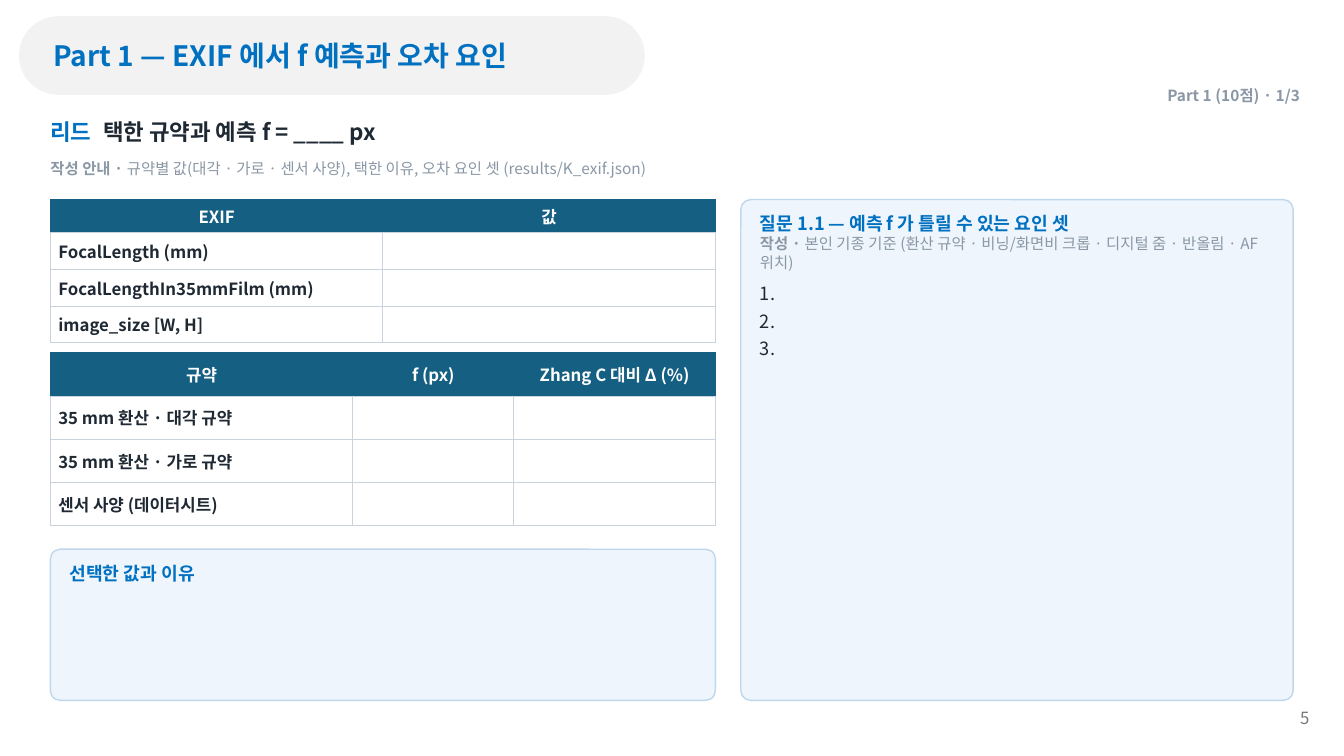
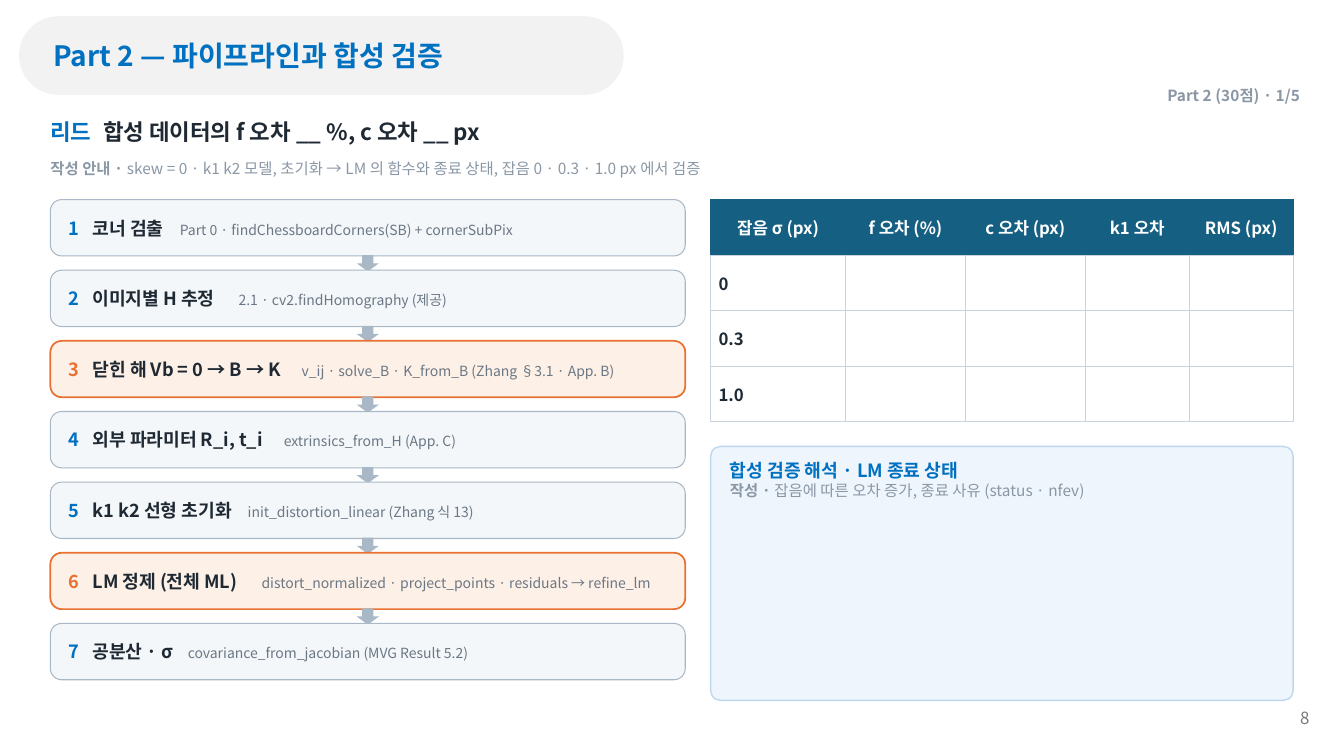
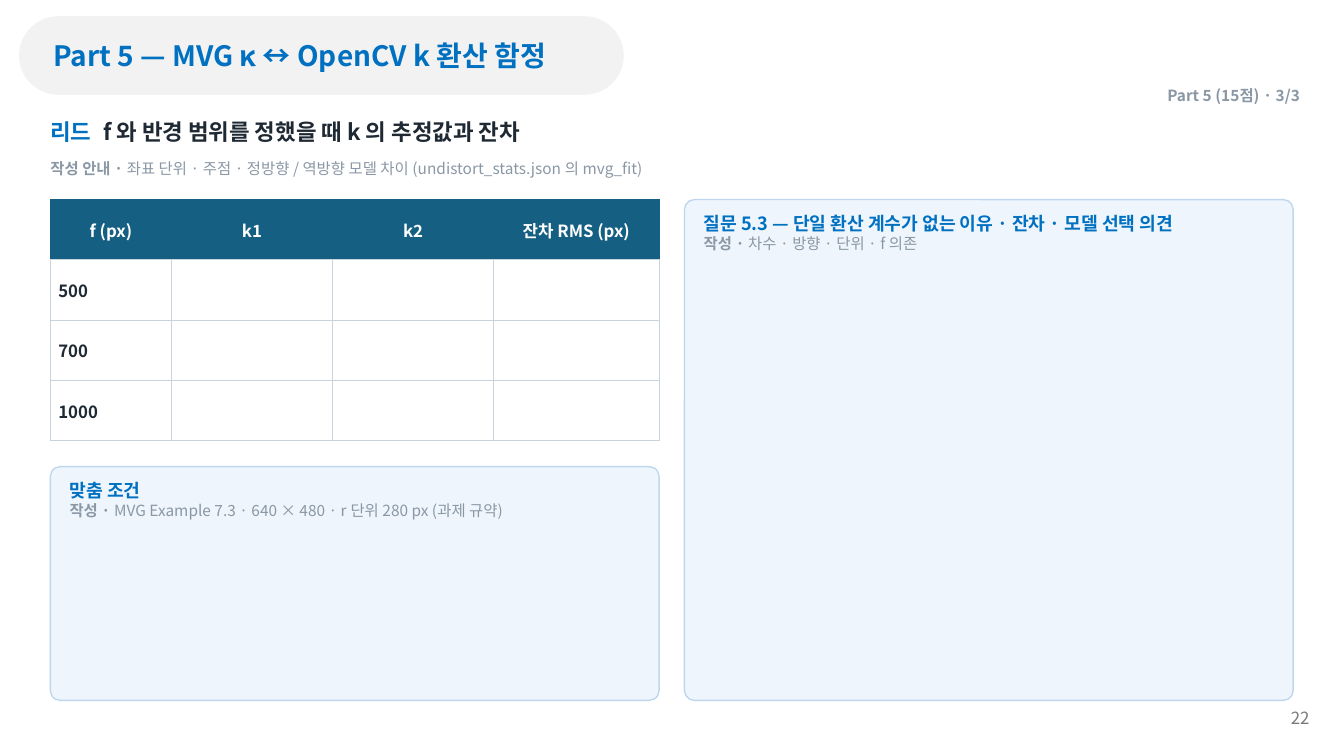
"""Build three worksheet slides of a camera calibration report."""
from lxml import etree
from pptx import Presentation
from pptx.dml.color import RGBColor
from pptx.enum.shapes import MSO_SHAPE
from pptx.enum.text import MSO_ANCHOR, PP_ALIGN
from pptx.oxml.ns import qn
from pptx.util import Cm, Pt

ROUND, DOWN = MSO_SHAPE.ROUNDED_RECTANGLE, MSO_SHAPE.DOWN_ARROW
TOP, MIDDLE = MSO_ANCHOR.TOP, MSO_ANCHOR.MIDDLE
LEFT, CENTER, RIGHT = PP_ALIGN.LEFT, PP_ALIGN.CENTER, PP_ALIGN.RIGHT

FONT = "Noto Sans CJK KR"
BLUE = RGBColor(0x00, 0x70, 0xC0)
INK = RGBColor(0x1F, 0x29, 0x33)
MUTED = RGBColor(0x8A, 0x97, 0xA5)
DETAIL = RGBColor(0x6B, 0x77, 0x85)
PAGE_GRAY = RGBColor(0x79, 0x79, 0x79)
PILL = RGBColor(0xF2, 0xF2, 0xF2)
WHITE = RGBColor(0xFF, 0xFF, 0xFF)
HEADER = RGBColor(0x15, 0x60, 0x82)
GRID = RGBColor(0xC9, 0xD3, 0xDD)
CARD_FILL = RGBColor(0xEE, 0xF5, 0xFC)
CARD_LINE = RGBColor(0xBF, 0xD7, 0xEE)
STEP_FILL = RGBColor(0xF4, 0xF7, 0xFA)
STEP_LINE = RGBColor(0xA9, 0xB8, 0xC6)
KEY_FILL = RGBColor(0xFD, 0xF0, 0xE6)
KEY_LINE = RGBColor(0xE9, 0x71, 0x32)

MARGIN, BODY_TOP, BODY_RIGHT, BODY_BOTTOM, GAP = 1.27, 5.03, 32.59, 17.65, 0.64
CARD_RADIUS = 0.25
STEP_HEIGHT, STEP_PITCH = 1.42, 1.78
ARROW_WIDTH, ARROW_HEIGHT = 0.56, 0.41

EXIF = {
    "title": "Part 1 — EXIF 에서 f 예측과 오차 요인", "pill": 15.77,
    "tag": "Part 1 (10점) · 1/3", "page": "5", "left": 16.76,
    "lead": "택한 규약과 예측 f = ____ px",
    "guide": "규약별 값(대각 · 가로 · 센서 사양), 택한 이유, 오차 요인 셋 (results/K_exif.json)",
    "tables": [
        {"side": 0, "top": BODY_TOP, "cols": [8.38, 8.38], "rows": (0.84, 0.92),
         "head": ["EXIF", "값"],
         "labels": ["FocalLength (mm)", "FocalLengthIn35mmFilm (mm)", "image_size [W, H]"]},
        {"side": 0, "top": 8.89, "cols": [7.62, 4.06, 5.08], "rows": (1.09, 1.09),
         "head": ["규약", "f (px)", "Zhang C 대비 Δ (%)"],
         "labels": ["35 mm 환산 · 대각 규약", "35 mm 환산 · 가로 규약", "센서 사양 (데이터시트)"]},
    ],
    "cards": [
        {"side": 0, "top": 13.84, "title": "선택한 값과 이유"},
        {"side": 1, "top": BODY_TOP, "title": "질문 1.1 — 예측 f 가 틀릴 수 있는 요인 셋",
         "hint": "본인 기종 기준 (환산 규약 · 비닝/화면비 크롭 · 디지털 줌 · 반올림 · AF 위치)",
         "items": ["1.", "2.", "3."]},
    ],
}

PIPELINE = {
    "title": "Part 2 — 파이프라인과 합성 검증", "pill": 15.24,
    "tag": "Part 2 (30점) · 1/5", "page": "8", "left": 16.0,
    "lead": "합성 데이터의 f 오차 __ %, c 오차 __ px",
    "guide": "skew = 0 · k1 k2 모델, 초기화 → LM 의 함수와 종료 상태, "
             "잡음 0 · 0.3 · 1.0 px 에서 검증",
    "steps": [
        ("코너 검출", "Part 0 · findChessboardCorners(SB) + cornerSubPix", 2.8, False),
        ("이미지별 H 추정", "2.1 · cv2.findHomography (제공)", 4.28, False),
        ("닫힌 해 Vb = 0 → B → K", "v_ij · solve_B · K_from_B (Zhang §3.1 · App. B)", 5.87, True),
        ("외부 파라미터 R_i, t_i", "extrinsics_from_H (App. C)", 5.42, False),
        ("k1 k2 선형 초기화", "init_distortion_linear (Zhang 식 13)", 4.51, False),
        ("LM 정제 (전체 ML)", "distort_normalized · project_points · residuals → refine_lm",
         4.86, True),
        ("공분산 · σ", "covariance_from_jacobian (MVG Result 5.2)", 3.0, False),
    ],
    "tables": [
        {"side": 1, "top": BODY_TOP, "cols": [3.4, 3.02, 3.02, 2.62, 2.62], "rows": (1.4, 1.4),
         "head": ["잡음 σ (px)", "f 오차 (%)", "c 오차 (px)", "k1 오차", "RMS (px)"],
         "labels": ["0", "0.3", "1.0"]},
    ],
    "cards": [
        {"side": 1, "top": 11.25, "title": "합성 검증 해석 · LM 종료 상태",
         "hint": "잡음에 따른 오차 증가, 종료 사유 (status · nfev)"},
    ],
}

CONVERSION = {
    "title": "Part 5 — MVG κ ↔ OpenCV k 환산 함정", "pill": 15.24,
    "tag": "Part 5 (15점) · 3/3", "page": "22", "left": 15.34,
    "lead": "f 와 반경 범위를 정했을 때 k 의 추정값과 잔차",
    "guide": "좌표 단위 · 주점 · 정방향 / 역방향 모델 차이 (undistort_stats.json 의 mvg_fit)",
    "tables": [
        {"side": 0, "top": BODY_TOP, "cols": [3.05, 4.06, 4.06, 4.17], "rows": (1.52, 1.52),
         "head": ["f (px)", "k1", "k2", "잔차 RMS (px)"],
         "labels": ["500", "700", "1000"]},
    ],
    "cards": [
        {"side": 0, "top": 11.76, "title": "맞춤 조건",
         "hint": "MVG Example 7.3 · 640 × 480 · r 단위 280 px (과제 규약)"},
        {"side": 1, "top": BODY_TOP,
         "title": "질문 5.3 — 단일 환산 계수가 없는 이유 · 잔차 · 모델 선택 의견",
         "hint": "차수 · 방향 · 단위 · f 의존"},
    ],
}


def add_run(p, text, size, color, bold=False):
    r = p.add_run()
    r.text = text
    r.font.size, r.font.bold, r.font.name = Pt(size), bold, FONT
    r.font.color.rgb = color
    etree.SubElement(r._r.get_or_add_rPr(), qn("a:ea"), typeface=FONT)


def set_tabs(p, *stops):
    tabs = etree.SubElement(p._p.get_or_add_pPr(), qn("a:tabLst"))
    for stop in stops:
        etree.SubElement(tabs, qn("a:tab"), pos=str(Cm(stop)), algn="l")


def set_frame(sp, anchor, insets, align=LEFT):
    tf = sp.text_frame
    tf.word_wrap, tf.vertical_anchor = True, anchor
    tf.margin_left, tf.margin_top, tf.margin_right, tf.margin_bottom = map(Cm, insets)
    tf.paragraphs[0].alignment = align
    return tf


def add_text(s, x, y, w, h, align=LEFT, insets=(0, 0, 0, 0)):
    sp = s.shapes.add_textbox(Cm(x), Cm(y), Cm(w), Cm(h))
    return set_frame(sp, MIDDLE, insets, align).paragraphs[0]


def add_block(s, kind, x, y, w, h, fill, line=None, weight=1.0, adj=None):
    sp = s.shapes.add_shape(kind, Cm(x), Cm(y), Cm(w), Cm(h))
    sp.shadow.inherit = False
    sp.fill.solid()
    sp.fill.fore_color.rgb = fill
    if line is None:
        sp.line.fill.background()
    else:
        sp.line.color.rgb, sp.line.width = line, Pt(weight)
    if adj is not None:
        sp.adjustments[0] = adj
    return sp


def add_frame(s, data):
    pill = add_block(s, ROUND, 0.48, 0.41, data["pill"], 1.98, PILL, adj=0.5)
    p = set_frame(pill, MIDDLE, (0.57, 0.13, 0.25, 0.13)).paragraphs[0]
    add_run(p, data["title"], 20, BLUE, True)
    p = add_text(s, 32.11, 17.58, 1.14, 1.02, RIGHT, (0, 0.13, 0.25, 0.13))
    add_run(p, data["page"], 12, PAGE_GRAY)
    add_run(add_text(s, 24, 2.03, 8.76, 0.76, RIGHT), data["tag"], 11, MUTED, True)
    width = BODY_RIGHT - MARGIN
    p = add_text(s, MARGIN, 2.79, width, 1.07)
    set_tabs(p, 1.33)
    add_run(p, "리드\t", 16, BLUE, True)
    add_run(p, data["lead"], 16, INK, True)
    p = add_text(s, MARGIN, 3.81, width, 0.86)
    add_run(p, "작성 안내 · ", 11, MUTED, True)
    add_run(p, data["guide"], 11, MUTED)


def add_steps(s, steps, width):
    arrow_x = MARGIN + (width - ARROW_WIDTH) / 2
    for i, (label, detail, detail_at, is_key) in enumerate(steps):
        y = BODY_TOP + i * STEP_PITCH
        fill, line, weight, accent = (
            (KEY_FILL, KEY_LINE, 1.25, KEY_LINE) if is_key
            else (STEP_FILL, STEP_LINE, 0.75, BLUE))
        sp = add_block(s, ROUND, MARGIN, y, width, STEP_HEIGHT, fill, line, weight, 0.2)
        p = set_frame(sp, MIDDLE, (0.38, 0.05, 0.25, 0.05)).paragraphs[0]
        set_tabs(p, 0.6, detail_at)
        add_run(p, f"{i + 1}\t", 13, accent, True)
        add_run(p, label, 13, INK, True)
        add_run(p, "\t" + detail, 10, DETAIL)
        if i < len(steps) - 1:
            add_block(s, DOWN, arrow_x, y + STEP_HEIGHT - 0.02,
                      ARROW_WIDTH, ARROW_HEIGHT, STEP_LINE)


def style_cell(cell, fill, border):
    cell.margin_left = cell.margin_right = Cm(0.2)
    cell.margin_top = cell.margin_bottom = Cm(0.08)
    cell.vertical_anchor = MIDDLE
    tc_pr = cell._tc.get_or_add_tcPr()
    for side in ("lnL", "lnR", "lnT", "lnB"):
        ln = etree.SubElement(tc_pr, qn(f"a:{side}"), w=str(Pt(0.75)))
        solid = etree.SubElement(ln, qn("a:solidFill"))
        etree.SubElement(solid, qn("a:srgbClr"), val=str(border))
    cell.fill.solid()
    cell.fill.fore_color.rgb = fill


def add_grid(s, data, x):
    cols, labels = data["cols"], data["labels"]
    head_height, row_height = data["rows"]
    heights = [head_height] + [row_height] * len(labels)
    table = s.shapes.add_table(len(heights), len(cols), Cm(x), Cm(data["top"]),
                               Cm(sum(cols)), Cm(sum(heights))).table
    table.horz_banding = False
    for col, width in zip(table.columns, cols):
        col.width = Cm(width)
    for row, height in zip(table.rows, heights):
        row.height = Cm(height)
    rows = [data["head"]] + [[label] for label in labels]
    for i, texts in enumerate(rows):
        fill, border, color, align = (
            (WHITE, GRID, INK, LEFT) if i else (HEADER, HEADER, WHITE, CENTER))
        for j in range(len(cols)):
            cell = table.cell(i, j)
            style_cell(cell, fill, border)
            if j < len(texts):
                p = cell.text_frame.paragraphs[0]
                p.alignment = align
                add_run(p, texts[j], 12, color, True)


def add_card(s, data, x, width):
    height = BODY_BOTTOM - data["top"]
    sp = add_block(s, ROUND, x, data["top"], width, height, CARD_FILL, CARD_LINE,
                   adj=CARD_RADIUS / min(width, height))
    tf = set_frame(sp, TOP, (0.41, 0.25, 0.41, 0.2))
    add_run(tf.paragraphs[0], data["title"], 13, BLUE, True)
    if "hint" in data:
        p = tf.add_paragraph()
        p.alignment, p.space_after = LEFT, Pt(4)
        add_run(p, "작성 · ", 11, MUTED, True)
        add_run(p, data["hint"], 11, MUTED)
    for item in data.get("items", []):
        p = tf.add_paragraph()
        p.alignment, p.space_before = LEFT, Pt(4)
        add_run(p, item, 13, INK)


def main():
    prs = Presentation()
    prs.slide_width, prs.slide_height = Cm(33.87), Cm(19.05)
    for data in (EXIF, PIPELINE, CONVERSION):
        s = prs.slides.add_slide(prs.slide_layouts[6])
        right_x = MARGIN + data["left"] + GAP
        columns = [(MARGIN, data["left"]), (right_x, BODY_RIGHT - right_x)]
        add_frame(s, data)
        add_steps(s, data.get("steps", []), data["left"])
        for table in data["tables"]:
            add_grid(s, table, columns[table["side"]][0])
        for card in data["cards"]:
            add_card(s, card, *columns[card["side"]])
    prs.save("out.pptx")


if __name__ == "__main__":
    main()
